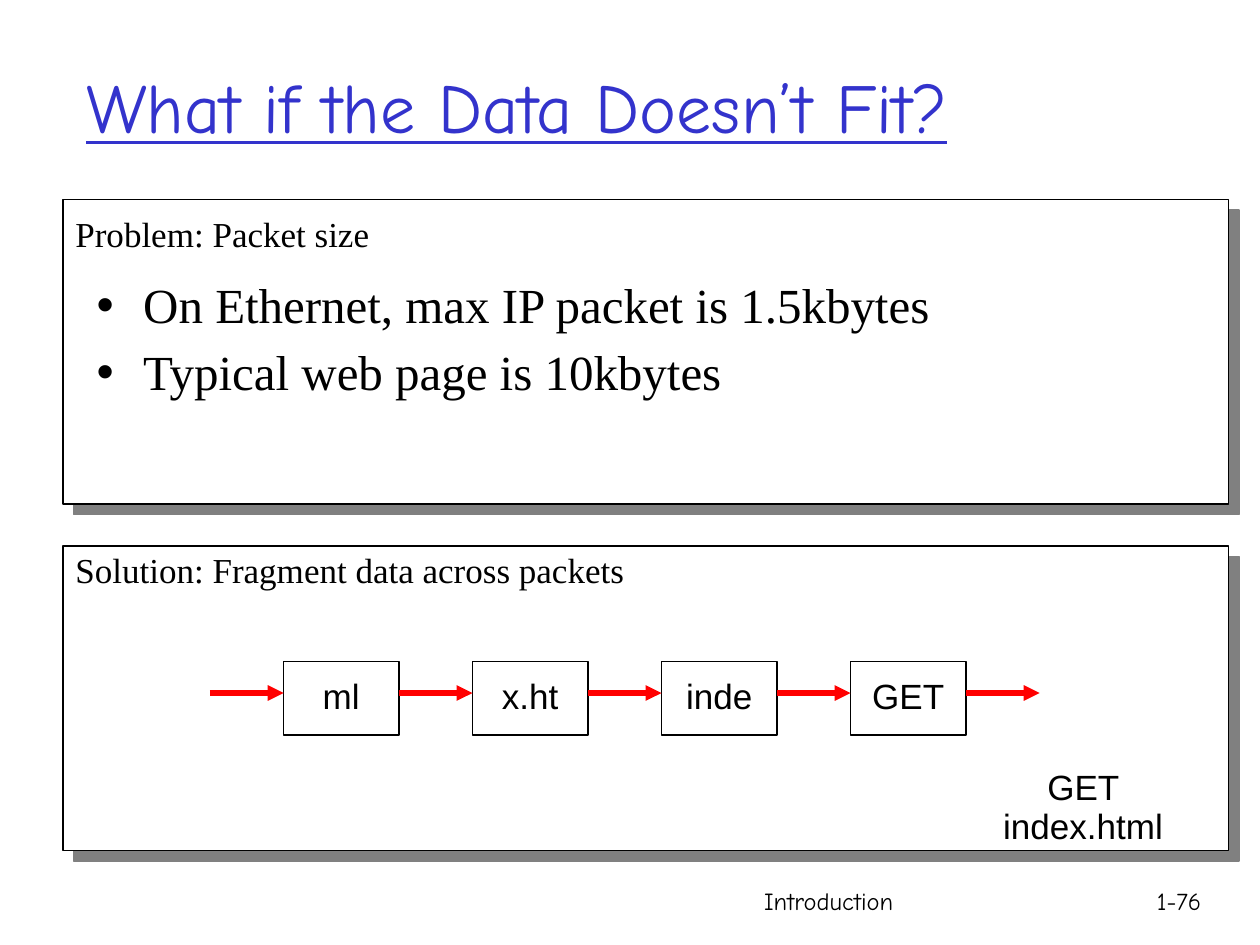
from lxml.etree import SubElement
from pptx import Presentation
from pptx.dml.color import RGBColor
from pptx.enum.shapes import MSO_CONNECTOR as Link, MSO_SHAPE as Shape
from pptx.enum.text import MSO_ANCHOR as Anchor, MSO_AUTO_SIZE as Fit, PP_ALIGN as Align
from pptx.oxml.ns import qn
from pptx.util import Inches, Pt

# The slide is a grid of 120 columns by 90 rows, twelve to the inch.
UNIT = Inches(1) / 12
BLACK, WHITE, RED, BLUE, GREY = "000000", "FFFFFF", "FF0000", "3333CC", "808080"
SERIF, SANS, COMIC = "Times New Roman", "Arial", "Comic Neue"


def grid(*cells):
    return [round(cell * UNIT) for cell in cells]


def color(code):
    return RGBColor.from_string(code)


def style(par, face, size, code=BLACK, align=Align.LEFT):
    par.alignment = align
    par.line_spacing = 0.93
    font = par.font
    font.name, font.size = face, Pt(size)
    font.color.rgb = color(code)


def place(holder, *cells):
    holder.left, holder.top, holder.width, holder.height = grid(*cells)


def add_box(slide, cells, width):
    box = slide.shapes.add_shape(Shape.ROUNDED_RECTANGLE, *grid(*cells))
    box.adjustments[0] = 0
    box.shadow.inherit = False
    box.fill.solid()
    box.fill.fore_color.rgb = color(WHITE)
    box.line.color.rgb = color(BLACK)
    box.line.width = Pt(width)
    return box


def add_panel(slide, top):
    """Add a wide white box with a hard grey shadow to the lower right."""
    panel = add_box(slide, (6, top, 111, 29), 0.75)
    effects = panel.element.spPr.find(qn("a:effectLst"))
    shade = SubElement(effects, qn("a:outerShdw"), blurRad="0",
                       dist=str(Pt(8.5)), dir="2700000", algn="ctr", rotWithShape="0")
    SubElement(shade, qn("a:srgbClr"), val=GREY)


def add_label(slide, text, cells, face, size, wrap=True):
    label = slide.shapes.add_textbox(*grid(*cells))
    frame = label.text_frame
    frame.word_wrap = wrap
    frame.text = text
    style(frame.paragraphs[0], face, size)
    return label


def add_packet(slide, text, col):
    frame = add_box(slide, (col, 63, 11, 7), 1).text_frame
    frame.vertical_anchor = Anchor.MIDDLE
    frame.text = text
    style(frame.paragraphs[0], SANS, 20, align=Align.CENTER)


def add_arrow(slide, col):
    left, row, right = grid(col, 66, col + 7)
    arrow = slide.shapes.add_connector(Link.STRAIGHT, left, row, right, row)
    arrow.line.color.rgb = color(RED)
    arrow.line.width = Pt(3)
    SubElement(arrow.line._get_or_add_ln(), qn("a:tailEnd"), type="triangle")
    SubElement(arrow.element.spPr, qn("a:effectLst"))


def fill_title(title, text):
    place(title, 7, 3, 102, 15)
    frame = title.text_frame
    frame.text = text
    frame.auto_size = Fit.NONE
    frame.vertical_anchor = Anchor.MIDDLE
    par = frame.paragraphs[0]
    style(par, COMIC, 40, BLUE)
    par.font.underline = True


def fill_list(body, items):
    """Write the bullets and lift the list above the panels."""
    place(body, 8, 26, 108, 17)
    frame = body.text_frame
    frame.text = "\n".join(items)
    frame.auto_size = Fit.NONE
    for i, par in enumerate(frame.paragraphs):
        props = par._p.get_or_add_pPr()
        props.set("marL", str(Inches(0.37)))
        props.set("indent", str(Inches(-0.37)))
        par.space_before = Pt(7 if i else 0)
        SubElement(props, qn("a:buChar"), char="•")
        style(par, SERIF, 28)
    body.element.getparent().append(body.element)


def main():
    deck = Presentation()
    deck.slide_width, deck.slide_height = grid(120, 90)
    slide = deck.slides.add_slide(deck.slide_layouts[1])

    add_label(slide, "Introduction", (71.6, 84, 37.4, 6), COMIC, 14)
    add_label(slide, "1-76", (109, 84, 8.2, 6), COMIC, 14)

    for top in (52, 19):
        add_panel(slide, top)
    add_label(slide, "Problem: Packet size", (6, 20, 65, 9), SERIF, 20)
    add_label(slide, "Solution: Fragment data across packets", (6, 52, 65, 9), SERIF, 20)

    fill_title(slide.shapes.title, "What if the Data Doesn’t Fit?")
    fill_list(slide.placeholders[1], ["On Ethernet, max IP packet is 1.5kbytes",
                                      "Typical web page is 10kbytes"])

    packets = ["ml", "x.ht", "inde", "GET"]
    for i, text in enumerate(packets):
        add_packet(slide, text, 27 + 18 * i)
    for i in range(len(packets) + 1):
        add_arrow(slide, 20 + 18 * i)

    query = add_label(slide, "GET index.html", (90.5, 74.4, 25.3, 5.2), SANS, 20, wrap=False)
    query.text_frame.vertical_anchor = Anchor.MIDDLE
    query.text_frame.paragraphs[0].alignment = Align.CENTER

    deck.save("out.pptx")


if __name__ == "__main__":
    main()
